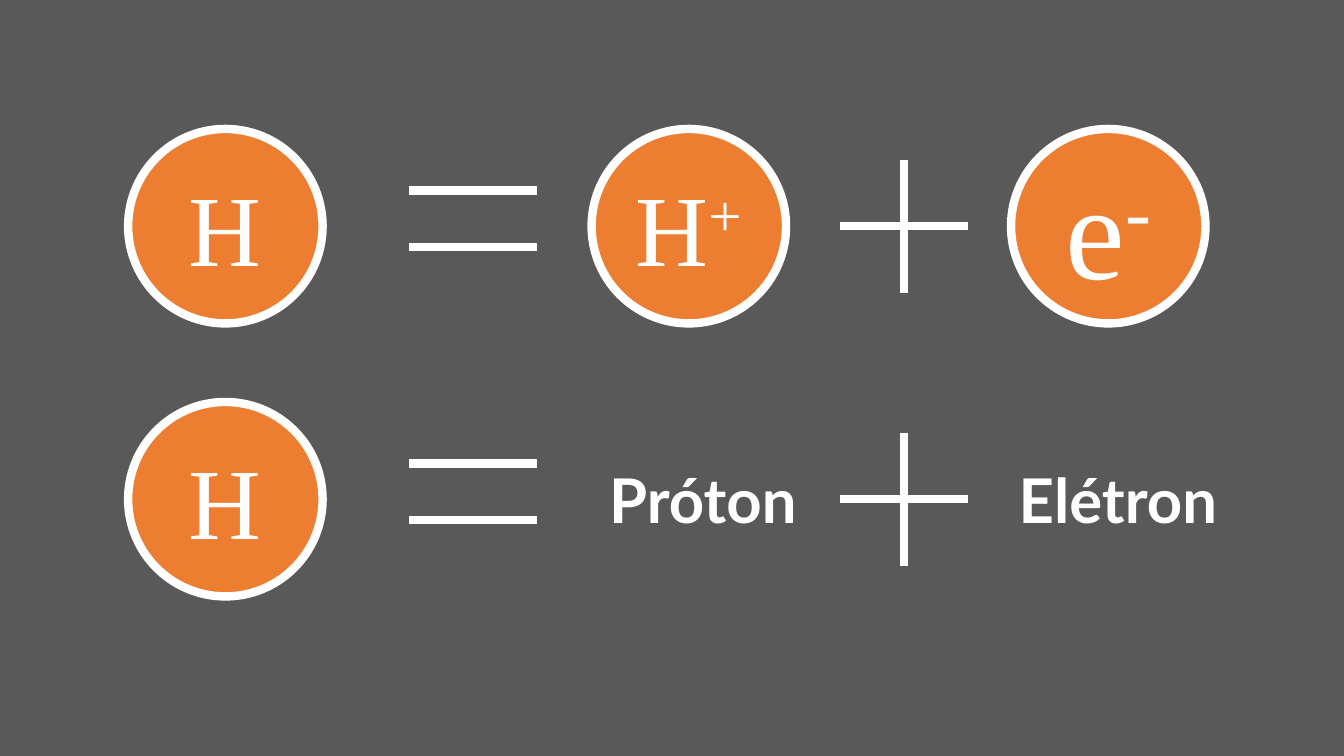
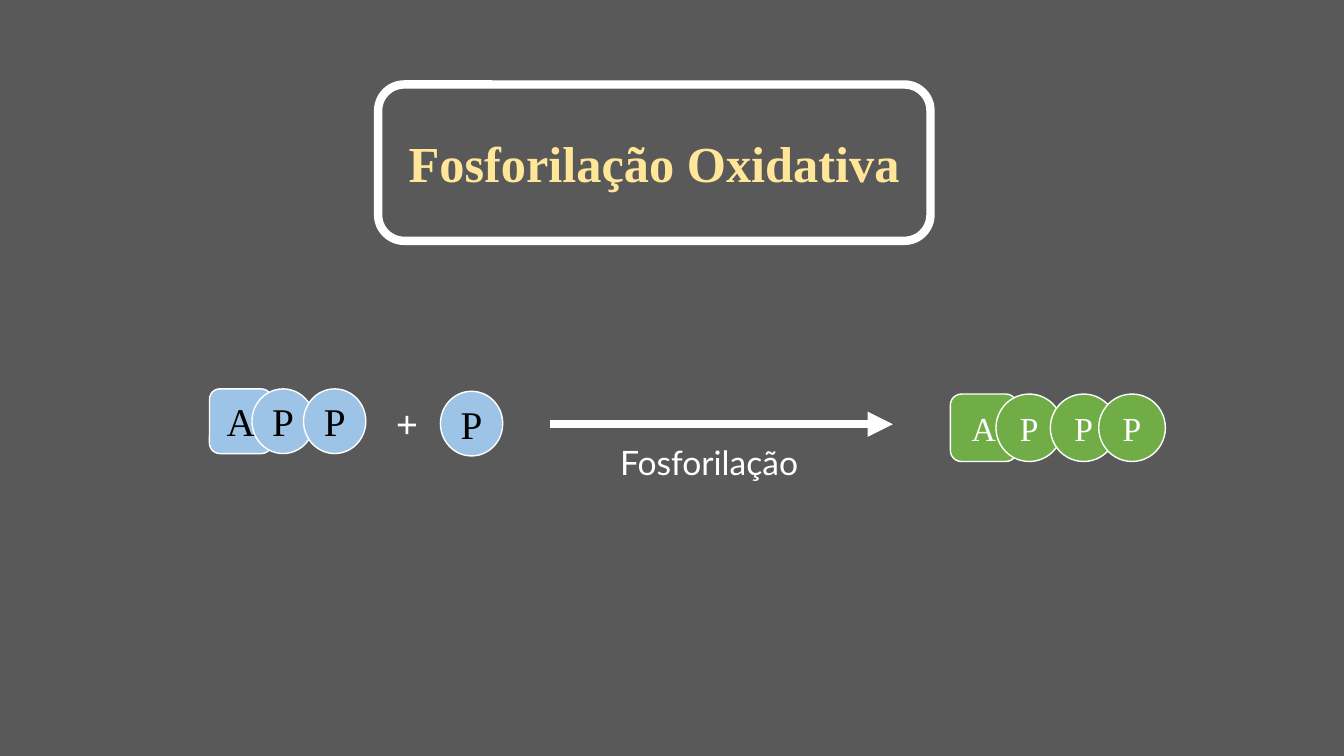
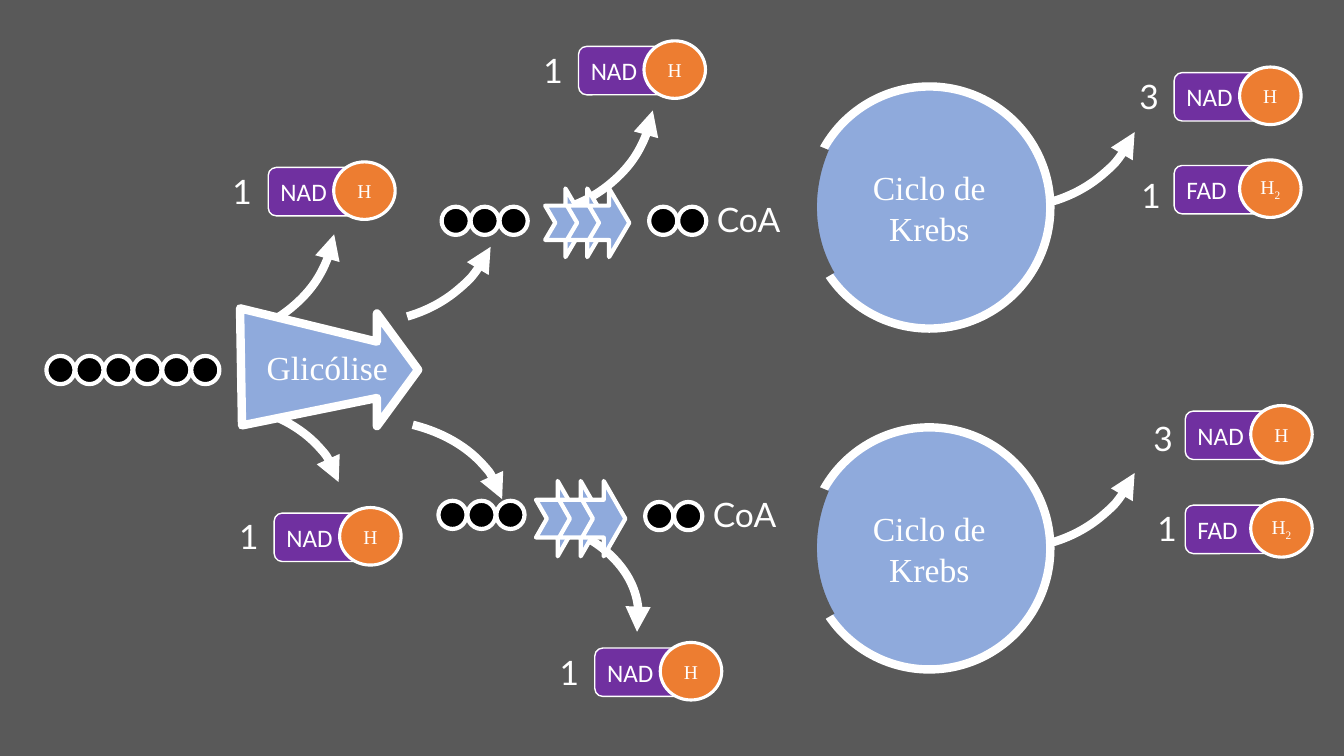
from dataclasses import dataclass

from lxml import etree
from pptx import Presentation
from pptx import util as u
from pptx.dml.color import RGBColor
from pptx.enum import shapes as kinds, text
from pptx.oxml.ns import qn

KIND = kinds.MSO_SHAPE


@dataclass(frozen=True)
class Theme:
    # Colours
    ground: str = "595959"
    white: str = "FFFFFF"
    black: str = "000000"
    orange: str = "ED7D31"
    cream: str = "FFE699"
    sky: str = "9DC3E6"
    green: str = "70AD47"
    blue: str = "8FAADC"
    purple: str = "7030A0"
    # Fonts
    serif: str = "Times New Roman"
    sans: str = "Lato"
    label: str = "Calibri"
    # Type sizes
    electron: int = 96
    atom: int = 72
    word: int = 44
    title: int = 36
    letter: int = 28
    body: int = 24
    carrier: int = 18
    hydrogen: int = 14
    # Line widths
    thick: float = 6
    medium: float = 3
    ring: float = 2.25
    thin: float = 1
    mask: float = 9.75


THEME = Theme()


@dataclass(frozen=True)
class Sweep:
    """Shape of a curved arrow: size, turn, flips and end angles in degrees."""
    width: float
    height: float
    turn: float
    flips: tuple
    start: float
    end: float


RISE_SHORT = Sweep(6.6, 7.34, 286.9, ("flipV",), 218.63, 263.9)
RISE_LONG = Sweep(6.6, 7.34, 286.9, ("flipV",), 218.63, 276.1)
FALL_SHORT = Sweep(5.28, 7.32, 266.1, ("flipH", "flipV"), 211.93, 263.9)
FALL_LONG = Sweep(5.28, 7.32, 266.1, ("flipH", "flipV"), 218.63, 278.21)
CYCLE_GAP = Sweep(6.55, 7.19, 30.1, ("flipV",), 188.29, 245.05)


# Text and outlines

def write(box, runs, size, font=THEME.serif, color=THEME.white, bold=False,
          align=text.PP_ALIGN.CENTER):
    """Fill a box with runs, each a string or a (string, baseline %) pair."""
    box.text_frame.word_wrap = True
    para = box.text_frame.paragraphs[0]
    para.alignment = align
    for item in runs:
        words, baseline = item if isinstance(item, tuple) else (item, 0)
        span = para.add_run()
        span.text = words
        span.font.name = font
        span.font.size = u.Pt(size)
        span.font.bold = bold
        span.font.color.rgb = RGBColor.from_string(color)
        if baseline:
            span._r.get_or_add_rPr().set("baseline", str(baseline * 1000))


def outline(item, width, color=THEME.white, arrow=False):
    item.line.color.rgb = RGBColor.from_string(color)
    item.line.width = u.Pt(width)
    if arrow:
        stroke = item.element.spPr.find(qn("a:ln"))
        etree.SubElement(stroke, qn("a:tailEnd"), type="triangle")


def paint(box, fill, width):
    box.shadow.inherit = False
    box.fill.solid()
    box.fill.fore_color.rgb = RGBColor.from_string(fill)
    outline(box, width)
    box.text_frame.vertical_anchor = text.MSO_ANCHOR.MIDDLE


# Basic elements

def add_box(shapes, kind, left, top, width, height, fill, line):
    box = shapes.add_shape(kind, u.Cm(left), u.Cm(top), u.Cm(width), u.Cm(height))
    paint(box, fill, line)
    return box


def add_label(shapes, words, left, top, width, height, size, font=THEME.sans,
              bold=False):
    box = shapes.add_textbox(u.Cm(left), u.Cm(top), u.Cm(width), u.Cm(height))
    write(box, [words], size, font, bold=bold)
    box.text_frame.auto_size = text.MSO_AUTO_SIZE.SHAPE_TO_FIT_TEXT


def add_line(shapes, x1, y1, x2, y2, arrow=False):
    line = shapes.add_connector(kinds.MSO_CONNECTOR.STRAIGHT,
                                u.Cm(x1), u.Cm(y1), u.Cm(x2), u.Cm(y2))
    outline(line, THEME.thick, arrow=arrow)
    etree.SubElement(line.element.spPr, qn("a:effectLst"))


def add_arc(shapes, left, top, sweep, color=THEME.white, width=THEME.thick,
            arrow=True):
    arc = shapes.add_shape(KIND.ARC, u.Cm(left), u.Cm(top),
                           u.Cm(sweep.width), u.Cm(sweep.height))
    arc.shadow.inherit = False
    arc.fill.background()
    # One adjustment unit is 100000 / 60000 of a degree
    arc.adjustments[0] = sweep.start * 0.6
    arc.adjustments[1] = sweep.end * 0.6
    arc.rotation = sweep.turn
    for flip in sweep.flips:
        arc.element.spPr.find(qn("a:xfrm")).set(flip, "1")
    outline(arc, width, color, arrow)


# Hydrogen equation

def add_atom(shapes, left, center, runs, size=THEME.atom):
    diameter = 4.9
    ball = add_box(shapes, KIND.OVAL, left, center - diameter / 2, diameter,
                   diameter, THEME.orange, THEME.thick)
    write(ball, runs, size)


def add_equals(shapes, center):
    for offset in (-0.9, 0.52):
        add_line(shapes, 10.31, center + offset, 13.54, center + offset)


def add_plus(shapes, center):
    middle = 22.78
    add_line(shapes, middle, center - 1.68, middle, center + 1.68)
    add_line(shapes, middle - 1.61, center, middle + 1.61, center)


def hydrogen_page(shapes):
    upper, lower = 5.7, 12.58
    for center in (upper, lower):
        add_atom(shapes, 3.23, center, ["H"])
        add_equals(shapes, center)
        add_plus(shapes, center)
    add_atom(shapes, 14.91, upper, ["H", ("+", 30)])
    add_atom(shapes, 25.48, upper, ["e", ("-", 30)], THEME.electron)
    for words, left in (("Próton", 14.91), ("Elétron", 25.37)):
        add_label(shapes, words, left, lower - 1.07, 5.61, 2.13, THEME.word,
                  bold=True)


# Phosphorylation

def add_phosphates(shapes, parts, top, width, height, fill, color, size):
    """Draw a molecule from (letter, left) parts; A is the adenosine."""
    group = shapes.add_group_shape()
    for letter, left in parts:
        kind = KIND.ROUNDED_RECTANGLE if letter == "A" else KIND.OVAL
        box = add_box(group.shapes, kind, left, top, width, height, fill,
                      THEME.thin)
        write(box, [letter], size, color=color)


def phosphorylation_page(shapes):
    title = add_box(shapes, KIND.ROUNDED_RECTANGLE, 9.53, 2.13, 13.92, 3.94,
                    THEME.ground, THEME.thick)
    write(title, ["Fosforilação Oxidativa"], THEME.title, color=THEME.cream,
          bold=True)
    add_line(shapes, 13.87, 10.69, 22.5, 10.69, arrow=True)
    add_label(shapes, "Fosforilação", 14.3, 11, 7.14, 1.27, THEME.body)
    product = (1.68, 1.7, THEME.green, THEME.white, THEME.body)
    reactant = (1.57, 1.63, THEME.sky, THEME.black, THEME.letter)
    add_phosphates(shapes, [("A", 23.95), ("P", 25.1), ("P", 26.47), ("P", 27.69)],
                   9.93, *product)
    add_phosphates(shapes, [("A", 5.28), ("P", 6.35), ("P", 7.65)], 9.8, *reactant)
    add_phosphates(shapes, [("P", 11.1)], 9.86, *reactant)
    add_label(shapes, "+", 9.6, 9.93, 1.32, 1.45, THEME.letter, THEME.serif, True)


# Cellular respiration

def add_glycolysis(shapes):
    points = [(6.05, 7.77), (9.5, 8.61), (9.5, 7.9), (10.54, 9.32),
              (9.5, 10.74), (9.5, 10.03), (6.1, 10.72)]
    corners = [(u.Cm(x), u.Cm(y)) for x, y in points]
    builder = shapes.build_freeform(*corners[0])
    builder.add_line_segments(corners[1:], close=True)
    arrow = builder.convert_to_shape()
    paint(arrow, THEME.blue, THEME.thick)
    arrow.text_frame.margin_left = u.Cm(0.67)
    write(arrow, ["Glicólise"], THEME.body, align=text.PP_ALIGN.LEFT)


def add_krebs(shapes, top):
    """Draw an open cycle with the arrow that leaves it."""
    left, diameter = 20.37, 6.1
    cycle = add_box(shapes, KIND.OVAL, left, top, diameter, diameter,
                    THEME.blue, THEME.thick)
    write(cycle, ["Ciclo de Krebs"], THEME.body)
    add_arc(shapes, left + 1.55, top - 3.95, RISE_SHORT)
    add_arc(shapes, left + 0.13, top - 0.84, CYCLE_GAP, THEME.ground,
            THEME.mask, arrow=False)


def add_carbons(shapes, left, top, count, coenzyme=False):
    group = shapes.add_group_shape()
    for index in range(count):
        add_box(group.shapes, KIND.OVAL, left + index * 0.73, top, 0.71, 0.71,
                THEME.black, THEME.medium)
    if coenzyme:
        add_label(group.shapes, "CoA", left + 1.3, top - 0.33, 2.41, 1.27,
                  THEME.body)


def add_chevrons(shapes, left, top, width, height, pitch):
    group = shapes.add_group_shape()
    for index in range(3):
        add_box(group.shapes, KIND.NOTCHED_RIGHT_ARROW, left + index * pitch, top,
                width, height, THEME.blue, THEME.medium)


def add_carrier(shapes, name, left, top, count, count_left, count_top):
    """Draw a loaded carrier with its count at the left."""
    group = shapes.add_group_shape()
    body = add_box(group.shapes, KIND.ROUNDED_RECTANGLE, left, top, 2.77, 1.22,
                   THEME.purple, THEME.thin)
    write(body, [name], THEME.carrier, THEME.label, align=text.PP_ALIGN.LEFT)
    load = add_box(group.shapes, KIND.OVAL, left + 1.65, top - 0.14, 1.55, 1.45,
                   THEME.orange, THEME.ring)
    runs = ["H", ("2", -25)] if name == "FAD" else ["H"]
    write(load, runs, THEME.hydrogen)
    add_label(group.shapes, count, count_left, count_top, 1.32, 1.27, THEME.body)


def respiration_page(shapes):
    # Arrows that start behind other parts
    add_arc(shapes, 2.31, 9.12, FALL_SHORT)
    add_arc(shapes, 1.52, 1.55, RISE_LONG)
    add_arc(shapes, 9.55, -1.57, RISE_LONG)
    add_arc(shapes, 9.8, 11.99, FALL_LONG)

    # Stages
    add_glycolysis(shapes)
    for top in (2.18, 10.77):
        add_krebs(shapes, top)
    add_chevrons(shapes, 13.74, 4.75, 1.02, 1.73, 0.55)
    add_chevrons(shapes, 13.51, 12.12, 1.09, 1.9, 0.58)

    # Carbon chains
    add_carbons(shapes, 1.17, 8.97, 6)
    add_carbons(shapes, 11.13, 5.21, 3)
    add_carbons(shapes, 11.05, 12.62, 3)
    add_carbons(shapes, 16.36, 5.21, 2, coenzyme=True)
    add_carbons(shapes, 16.26, 12.65, 2, coenzyme=True)

    # Arrows that lead to the three-carbon chains
    add_arc(shapes, 5.69, 1.12, RISE_SHORT)
    add_arc(shapes, 6.43, 9.55, FALL_SHORT)

    # Carriers
    for carrier in (
        ("NAD", 6.76, 4.22, "1", 5.44, 4.19),
        ("NAD", 6.91, 12.93, "1", 5.61, 12.88),
        ("NAD", 14.58, 1.17, "1", 13.28, 1.14),
        ("NAD", 14.99, 16.33, "1", 13.69, 16.31),
        ("NAD", 29.59, 1.83, "3", 28.3, 1.8),
        ("FAD", 29.59, 4.17, "1", 28.35, 4.29),
        ("NAD", 29.87, 10.36, "3", 28.65, 10.41),
        ("FAD", 29.87, 12.73, "1", 28.75, 12.67),
    ):
        add_carrier(shapes, *carrier)


def main():
    deck = Presentation()
    deck.slide_width, deck.slide_height = u.Cm(33.87), u.Cm(19.05)
    # Shared background
    ground = deck.slide_master.background.fill
    ground.solid()
    ground.fore_color.rgb = RGBColor.from_string(THEME.ground)
    for draw in (hydrogen_page, phosphorylation_page, respiration_page):
        page = deck.slides.add_slide(deck.slide_layouts[6])
        draw(page.shapes)
    deck.save("out.pptx")


if __name__ == "__main__":
    main()
